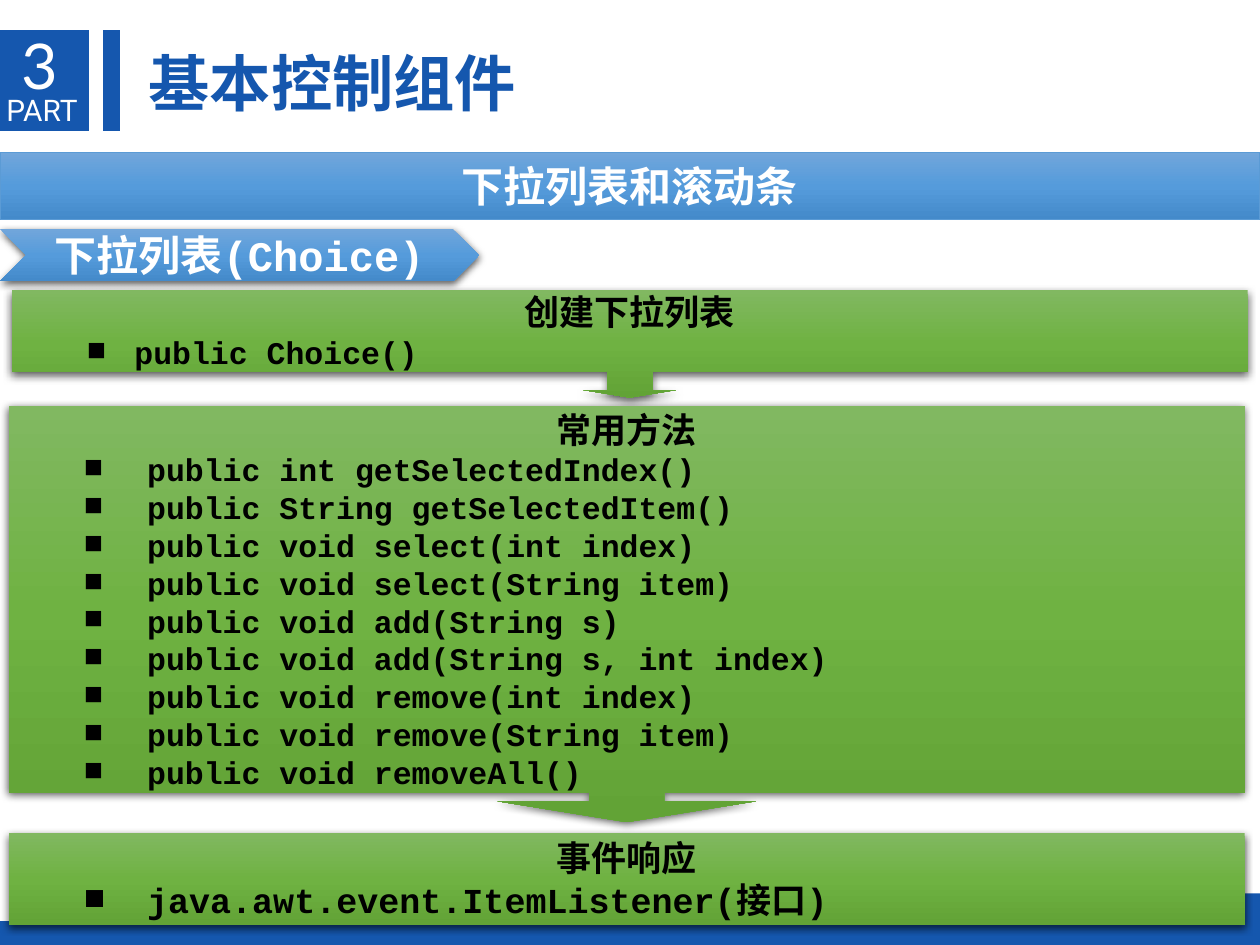
from lxml import etree
from pptx import Presentation
from pptx import util as u
from pptx.dml.color import RGBColor
from pptx.enum import shapes, text
from pptx.oxml import ns

Pt = u.Pt
NAVY = RGBColor(0x15, 0x57, 0xAE)
WHITE = RGBColor(0xFF, 0xFF, 0xFF)
BLACK = RGBColor(0x00, 0x00, 0x00)
EDGE = RGBColor(0x5B, 0x9B, 0xD5)
BLUES = [RGBColor(0x71, 0xA6, 0xDB), RGBColor(0x55, 0x9B, 0xDB), RGBColor(0x44, 0x8A, 0xCA)]
GREENS = [RGBColor(0x81, 0xB8, 0x61), RGBColor(0x6F, 0xB2, 0x42), RGBColor(0x62, 0xA3, 0x36)]
CODE_FONT = "Courier New"
CHINESE_FONT = "Noto Sans CJK SC"
KIND = shapes.MSO_SHAPE
CENTER = text.PP_ALIGN.CENTER

METHODS = [
    "public int getSelectedIndex()",
    "public String getSelectedItem()",
    "public void select(int index)",
    "public void select(String item)",
    "public void add(String s)",
    "public void add(String s, int index)",
    "public void remove(int index)",
    "public void remove(String item)",
    "public void removeAll()",
]


def add_node(parent, tag, **attributes):
    node = etree.SubElement(parent, ns.qn(tag))
    for name, value in attributes.items():
        node.set(name, str(value))
    return node


def write(para, words, size=18, font=CODE_FONT, color=BLACK, bold=True, align=None):
    para.alignment = align
    span = para.add_run()
    span.text = words
    span.font.size = Pt(size)
    span.font.name = font
    span.font.bold = bold
    span.font.color.rgb = color
    add_node(span.font._element, "a:ea", typeface=CHINESE_FONT)


def set_bullet(para, margin, hanging):
    para.level = 1
    settings = para._p.get_or_add_pPr()
    settings.set("marL", str(Pt(margin)))
    settings.set("indent", str(-Pt(hanging)))
    add_node(settings, "a:buFont", typeface=CODE_FONT)
    add_node(settings, "a:buChar", char="■")


def set_gradient(shape, colors):
    shape.fill.gradient()
    shape.fill.gradient_angle = 270
    stops = shape._element.spPr.find(ns.qn("a:gradFill")).find(ns.qn("a:gsLst"))
    for stop in list(stops):
        stops.remove(stop)
    for index, color in enumerate(colors):
        stop = add_node(stops, "a:gs", pos=index * 50000)
        add_node(stop, "a:srgbClr", val=color)


def set_shadow(shape):
    effects = shape._element.spPr.find(ns.qn("a:effectLst"))
    shadow = add_node(effects, "a:outerShdw", blurRad=Pt(4.5), dist=Pt(1.5),
                      dir=5400000, algn="ctr", rotWithShape=0)
    color = add_node(shadow, "a:srgbClr", val=BLACK)
    add_node(color, "a:alpha", val=63000)


def add_panel(page, box, kind, colors, shadow=True):
    shape = page.shapes.add_shape(kind, *map(Pt, box))
    shape.shadow.inherit = False
    set_gradient(shape, colors)
    shape.line.fill.background()
    if shadow:
        set_shadow(shape)
    shape.text_frame.word_wrap = True
    shape.text_frame.vertical_anchor = text.MSO_ANCHOR.MIDDLE
    return shape


def add_bar(page, box):
    bar = page.shapes.add_shape(KIND.FLOWCHART_PROCESS, *map(Pt, box))
    bar.shadow.inherit = False
    bar.fill.solid()
    bar.fill.fore_color.rgb = NAVY
    bar.line.fill.background()


def add_label(page, box, words, inset=None, **style):
    label = page.shapes.add_textbox(*map(Pt, box))
    frame = label.text_frame
    frame.word_wrap = False
    frame.auto_size = text.MSO_AUTO_SIZE.SHAPE_TO_FIT_TEXT
    if inset is not None:
        frame.margin_left = frame.margin_right = Pt(inset)
        frame.margin_top = frame.margin_bottom = Pt(inset)
    write(frame.paragraphs[0], words, **style)


def add_header(page, box):
    left, top, width, height = box
    add_bar(page, (left, top, 51, height))
    add_bar(page, (left + 58.7, top, 10, height))
    add_label(page, (left + 3.6, top + 35.5, 43, 21), "PART", inset=0,
              size=17, font="Roboto", color=WHITE, bold=False)
    add_label(page, (left + 5, top - 5.5, 38, 51), "3",
              size=36, font="Lato", color=WHITE, bold=False)
    add_label(page, (left + 77.8, top + 5.3, width - 77.8, 50), "基本控制组件",
              size=35, font=CHINESE_FONT, color=NAVY)


def add_footer(page, box):
    left, top, width, height = box
    right, bottom = left + width, top + height
    add_bar(page, (left, bottom - 13.5, width, 13.5))
    outline = page.shapes.build_freeform(Pt(right), Pt(bottom - 3.6))
    outline.add_line_segments(
        [(Pt(right), Pt(top)), (Pt(right - 114), Pt(top + 0.5)),
         (Pt(right - 125), Pt(bottom - 3.6))], close=True)
    corner = outline.convert_to_shape()
    corner.shadow.inherit = False
    corner.fill.solid()
    corner.fill.fore_color.rgb = NAVY
    corner.line.fill.background()


def add_banner(page, box):
    banner = add_panel(page, box, KIND.RECTANGLE, BLUES, shadow=False)
    banner.line.color.rgb = EDGE
    banner.line.width = Pt(0.5)
    write(banner.text_frame.paragraphs[0], "下拉列表和滚动条",
          size=24, font=CHINESE_FONT, color=WHITE, align=CENTER)


def add_topic(page, box):
    topic = add_panel(page, box, KIND.CHEVRON, BLUES)
    write(topic.text_frame.paragraphs[0], "下拉列表(Choice)",
          size=24, color=WHITE, align=CENTER)


def add_step(page, box, title, items, size=18, margin=72, hanging=36, callout=None):
    kind = KIND.DOWN_ARROW_CALLOUT if callout else KIND.RECTANGLE
    step = add_panel(page, box, kind, GREENS)
    for index, value in enumerate(callout or []):
        step.adjustments[index] = value
    frame = step.text_frame
    write(frame.paragraphs[0], title, size=20, align=CENTER)
    for item in items:
        para = frame.add_paragraph()
        write(para, item, size=size, align=text.PP_ALIGN.LEFT)
        set_bullet(para, margin, hanging)


def main():
    deck = Presentation()
    deck.slide_width, deck.slide_height = Pt(720), Pt(540)
    page = deck.slides.add_slide(deck.slide_layouts[6])
    add_footer(page, (0, 510.5, 720, 29.5))
    add_header(page, (0, 17, 304.6, 58))
    add_banner(page, (0, 87, 720, 38.7))
    add_topic(page, (0, 131, 273.8, 29.7))
    add_step(page, (6.7, 165.7, 706.3, 61.5), "创建下拉列表", ["public Choice()"],
             margin=63, hanging=27, callout=(0.42, 0.43, 0.07, 0.76))
    add_step(page, (5, 232, 706.3, 237.8), "常用方法", METHODS,
             callout=(0.18, 0.31, 0.05, 0.93))
    add_step(page, (5, 476, 706.3, 52.6), "事件响应",
             ["java.awt.event.ItemListener(接口)"], size=20)
    deck.save("out.pptx")


if __name__ == "__main__":
    main()
